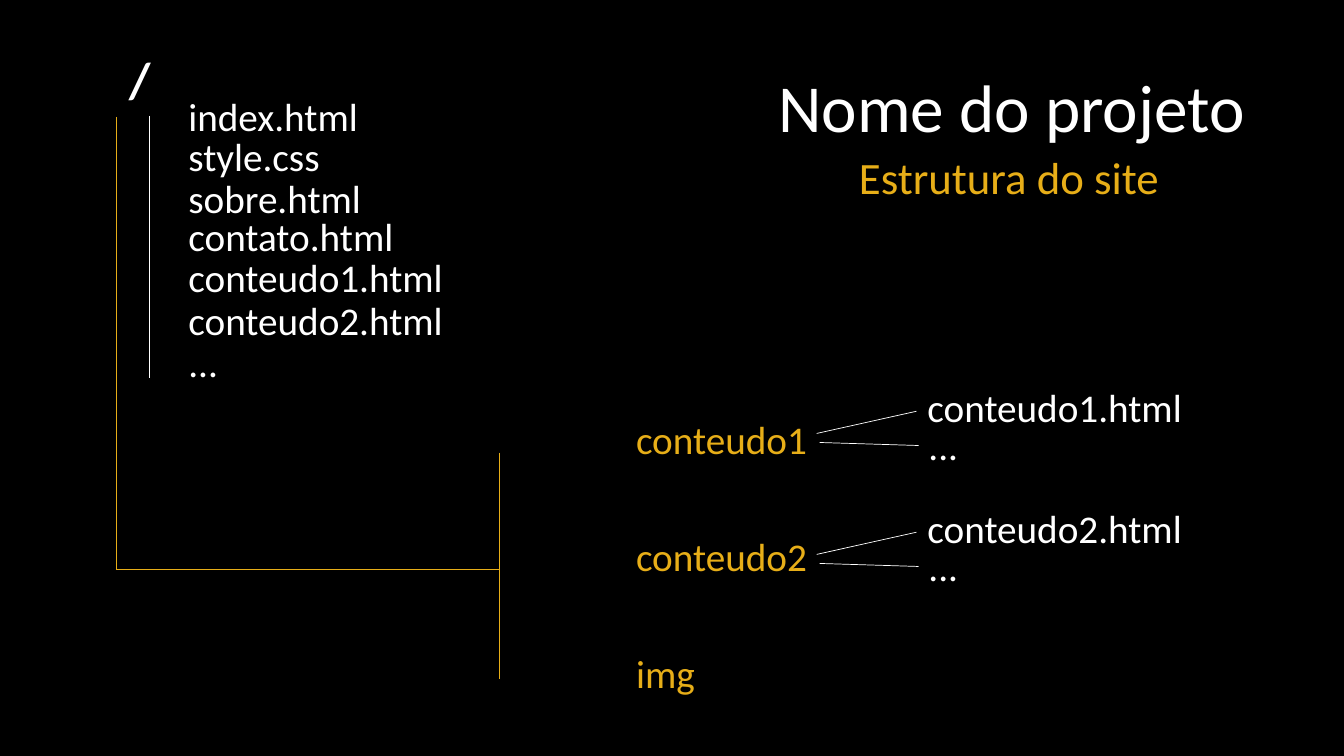
from dataclasses import dataclass

from lxml import etree
from pptx import Presentation
from pptx import util as u
from pptx.dml.color import RGBColor
from pptx.enum import shapes, text
from pptx.oxml import ns


@dataclass(frozen=True)
class Theme:
    font: str = "Calibri"
    background: RGBColor = RGBColor(0x00, 0x00, 0x00)
    file: RGBColor = RGBColor(0xFF, 0xFF, 0xFF)
    folder: RGBColor = RGBColor(0xE7, 0xAE, 0x18)
    title_size: int = 48
    root_size: int = 36
    subtitle_size: int = 32
    entry_size: int = 28
    line_width: float = 0.5


class SiteMap:
    def __init__(self, presentation, theme):
        self.theme = theme
        self.slide = presentation.slides.add_slide(presentation.slide_layouts[5])
        fill = self.slide.background.fill
        fill.solid()
        fill.fore_color.rgb = theme.background

    def fill_text(self, shape, words, size, color, bold=False):
        frame = shape.text_frame
        frame.word_wrap = True
        frame.auto_size = text.MSO_AUTO_SIZE.SHAPE_TO_FIT_TEXT
        frame.vertical_anchor = text.MSO_ANCHOR.TOP
        paragraph = frame.paragraphs[0]
        paragraph.alignment = text.PP_ALIGN.LEFT
        run = paragraph.add_run()
        run.text = words
        run.font.name = self.theme.font
        run.font.size = u.Pt(size)
        run.font.bold = bold
        run.font.color.rgb = color

    def title(self, words, left, top, width, height):
        shape = self.slide.shapes.title
        shape.left, shape.top = u.Inches(left), u.Inches(top)
        shape.width, shape.height = u.Inches(width), u.Inches(height)
        self.fill_text(shape, words, self.theme.title_size, self.theme.file)

    def label(self, words, left, top, width, height, size, color, bold=False):
        shape = self.slide.shapes.add_textbox(*map(u.Inches, (left, top, width, height)))
        self.fill_text(shape, words, size, color, bold)

    def file_name(self, name, left, top):
        self.label(name, left, top, 4.78, 0.57, self.theme.entry_size, self.theme.file)

    def folder_name(self, name, top, width=1.95):
        self.label(name, 6.21, top, width, 0.57, self.theme.entry_size, self.theme.folder)

    def line(self, start, end, color):
        connector = self.slide.shapes.add_connector(
            shapes.MSO_CONNECTOR.STRAIGHT, *map(u.Inches, (*start, *end)))
        connector.line.color.rgb = color
        connector.line.width = u.Pt(self.theme.line_width)
        properties = connector.element.find(ns.qn("p:spPr"))
        etree.SubElement(properties, ns.qn("a:effectLst"))

    def content_folder(self, name, folder_top, file_top):
        self.folder_name(name, folder_top)
        self.file_name(f"{name}.html", 9.1, file_top)
        self.file_name("...", 9.11, file_top + 0.38)
        self.line((9.09, file_top + 0.33), (8.1, file_top + 0.55), self.theme.file)
        self.line((9.11, file_top + 0.67), (8.13, file_top + 0.64), self.theme.file)


def main():
    presentation = Presentation()
    presentation.slide_width = u.Inches(13.33)
    presentation.slide_height = u.Inches(7.5)
    theme = Theme()
    site = SiteMap(presentation, theme)

    site.title("Nome do projeto", 7.62, 0.6, 5.04, 0.91)
    site.label("Estrutura do site", 8.42, 1.44, 3.89, 0.64, theme.subtitle_size, theme.folder)
    site.label("/", 1.18, 0.43, 0.79, 0.71, theme.root_size, theme.file, bold=True)

    root_files = [
        ("index.html", 0.87),
        ("style.css", 1.26),
        ("sobre.html", 1.68),
        ("contato.html", 2.06),
        ("conteudo1.html", 2.46),
        ("conteudo2.html", 2.89),
        ("...", 3.31),
    ]
    for name, top in root_files:
        site.file_name(name, 1.77, top)
    site.line((1.48, 1.15), (1.48, 3.75), theme.file)

    trunk, branch, joint = 1.15, 4.95, 5.65
    site.line((trunk, 1.16), (trunk, joint), theme.folder)
    site.line((trunk, joint), (branch, joint), theme.folder)
    site.line((branch, 4.49), (branch, 6.74), theme.folder)

    site.content_folder("conteudo1", 4.07, 3.75)
    site.content_folder("conteudo2", 5.23, 4.95)
    site.folder_name("img", 6.39, width=1.41)

    presentation.save("out.pptx")


if __name__ == "__main__":
    main()
